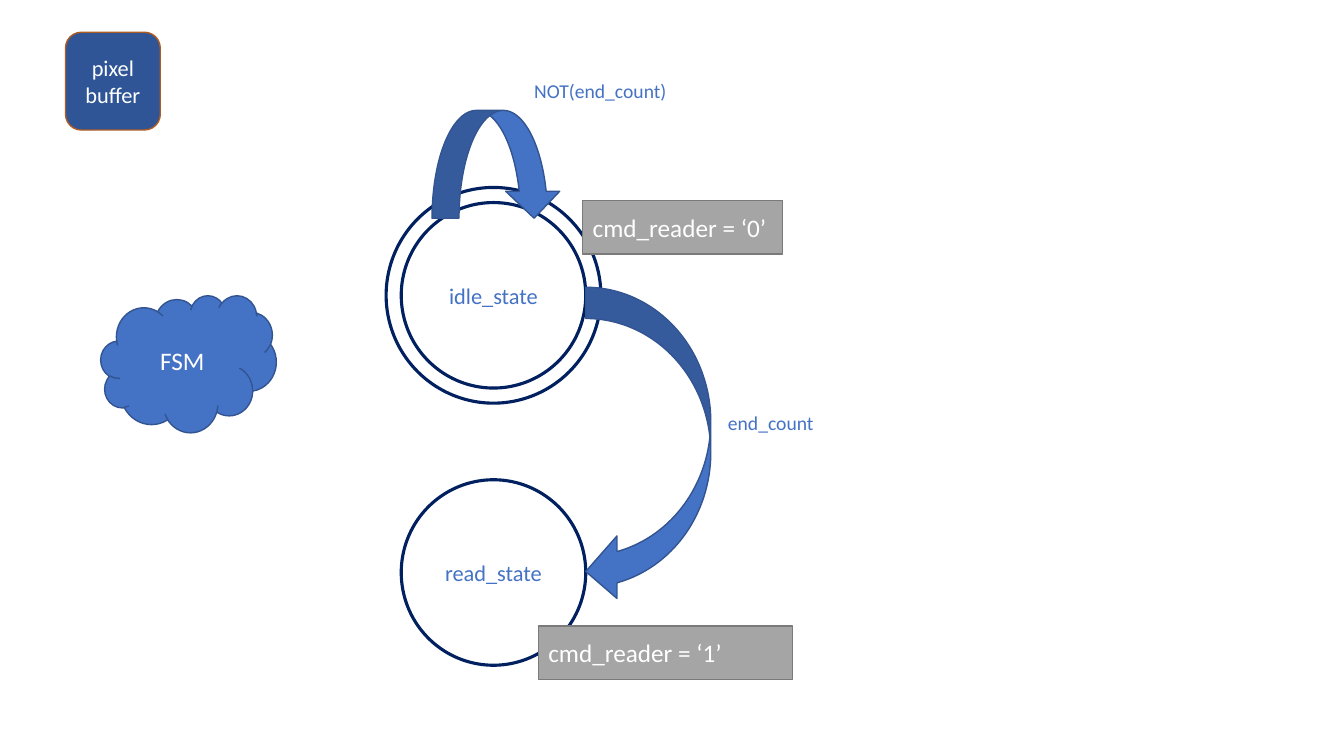
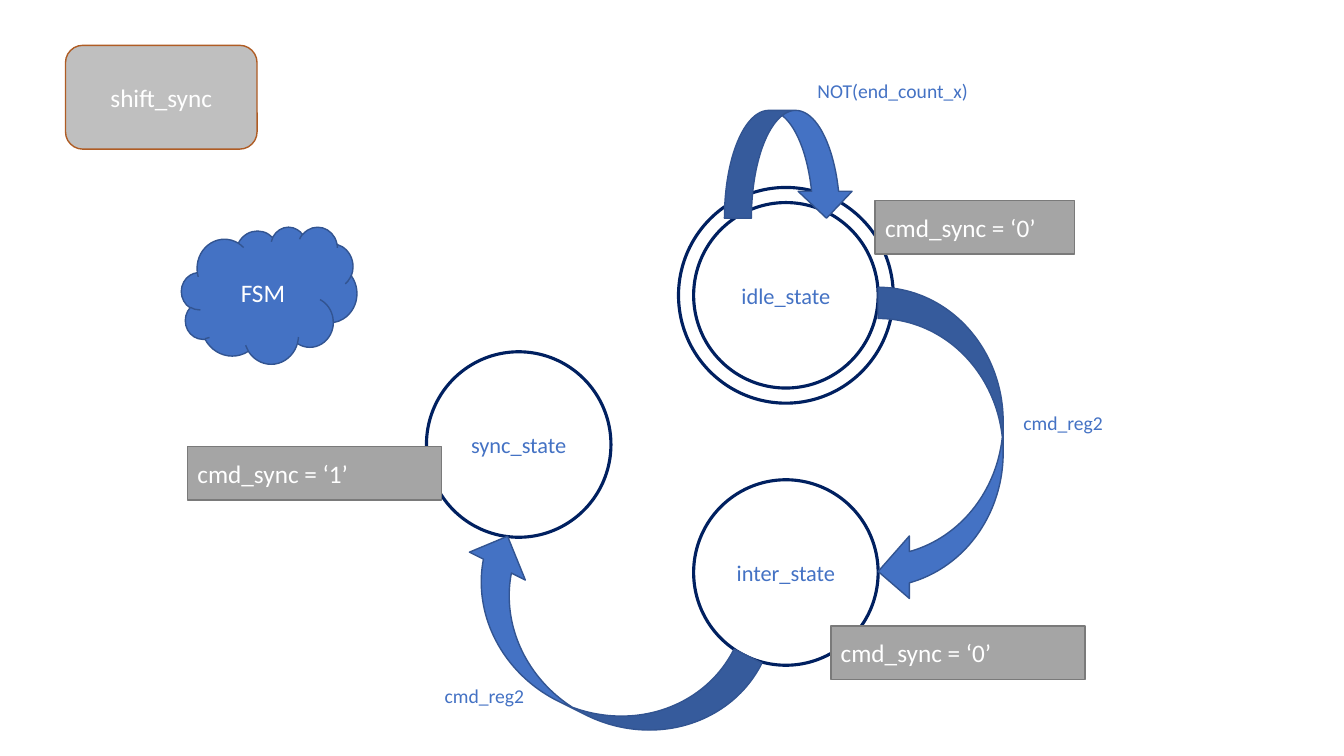
from pptx import Presentation
from pptx.dml.color import RGBColor
from pptx.enum.shapes import MSO_SHAPE as SHAPE
from pptx.enum.text import MSO_ANCHOR, MSO_AUTO_SIZE, PP_ALIGN
from pptx.util import Inches, Pt

# Shared style
FONT = "Calibri"
WHITE = RGBColor(0xFF, 0xFF, 0xFF)
NAVY = RGBColor(0x00, 0x20, 0x60)
BLUE = RGBColor(0x44, 0x72, 0xC4)
BLUE_EDGE = RGBColor(0x32, 0x54, 0x91)
DARK_BLUE = RGBColor(0x2F, 0x55, 0x97)
GRAY = RGBColor(0xA5, 0xA5, 0xA5)
GRAY_EDGE = RGBColor(0x7A, 0x7A, 0x7A)
LIGHT_GRAY = RGBColor(0xBF, 0xBF, 0xBF)
ORANGE_EDGE = RGBColor(0xAF, 0x5C, 0x24)

# Shared sizes in inches
STATE_W, STATE_H = 1.83, 1.84
RING_GAP = 0.15
ARROW_SIZE = (1.24, 3.13)
OUTPUT_H = 0.53

# Content: one dict per state machine; x is the left edge of its main column
MACHINES = [
    dict(
        badge=(["pixel", "buffer"], (0.65, 0.32, 0.94, 0.97), DARK_BLUE, 16),
        cloud=(1, 2.93),
        x=3.98,
        states=("idle_state", "read_state"),
        conditions=("NOT(end_count)", "end_count"),
        outputs=("cmd_reader = ‘0’", "cmd_reader = ‘1’"),
    ),
    dict(
        badge=(["shift_sync"], (0.65, 0.45, 1.9, 1.03), LIGHT_GRAY, 18),
        cloud=(1.8, 2.25),
        x=6.88,
        states=("idle_state", "inter_state"),
        conditions=("NOT(end_count_x)", "cmd_reg2"),
        outputs=("cmd_sync = ‘0’", "cmd_sync = ‘0’"),
        side=("sync_state", "cmd_sync = ‘1’", "cmd_reg2"),
    ),
]


def write(s, lines, size, color, align=PP_ALIGN.CENTER):
    tf = s.text_frame
    tf.word_wrap = True
    for i, line in enumerate(lines):
        p = tf.add_paragraph() if i else tf.paragraphs[0]
        p.text = line
        p.alignment = align
        p.font.name = FONT
        p.font.size = Pt(size)
        p.font.color.rgb = color
    return tf


def add_shape(slide, kind, box, fill, edge, width=1):
    s = slide.shapes.add_shape(kind, *map(Inches, box))
    s.shadow.inherit = False
    s.fill.solid()
    s.fill.fore_color.rgb = fill
    s.line.color.rgb = edge
    s.line.width = Pt(width)
    s.text_frame.vertical_anchor = MSO_ANCHOR.MIDDLE
    return s


def add_state(slide, name, x, y, initial=False):
    if initial:
        ring = (x - RING_GAP, y - RING_GAP,
                STATE_W + 2 * RING_GAP, STATE_H + 2 * RING_GAP)
        add_shape(slide, SHAPE.OVAL, ring, WHITE, NAVY, 2.25)
    s = add_shape(slide, SHAPE.OVAL, (x, y, STATE_W, STATE_H), WHITE, NAVY, 2.25)
    write(s, [name], 16, BLUE)


def add_arrow(slide, x, y, size=ARROW_SIZE, rotation=0):
    s = add_shape(slide, SHAPE.CURVED_LEFT_ARROW, (x, y, *size), BLUE, BLUE_EDGE)
    s.rotation = rotation


def add_condition(slide, text, x, y, width=1.39):
    s = slide.shapes.add_textbox(*map(Inches, (x, y, width, 0.34)))
    tf = write(s, [text], 14, BLUE)
    tf.auto_size = MSO_AUTO_SIZE.SHAPE_TO_FIT_TEXT


def add_output(slide, text, x, y, width=2.52):
    s = add_shape(slide, SHAPE.RECTANGLE, (x, y, width, OUTPUT_H), GRAY, GRAY_EDGE)
    write(s, [text], 18, WHITE, PP_ALIGN.LEFT)


def add_machine(slide, machine):
    x = machine["x"]

    # Main column: initial state above its successor
    for i, (name, y) in enumerate(zip(machine["states"], (2.01, 4.76))):
        add_state(slide, name, x, y, initial=i == 0)

    # Transitions and their conditions
    loop, forward = machine["conditions"]
    add_arrow(slide, x + STATE_W, 2.85)
    add_condition(slide, forward, x + 2.97, 4.03)
    add_arrow(slide, x + 0.41, 0.99, (1.07, 1.28), 270)
    add_condition(slide, loop, x + 0.91, 0.73, 2.13)

    # Diagram type
    s = add_shape(slide, SHAPE.CLOUD, (*machine["cloud"], 1.74, 1.36), BLUE, BLUE_EDGE)
    write(s, ["FSM"], 18, WHITE)

    # Output of each state
    first, second = machine["outputs"]
    add_output(slide, first, x + 1.8, 1.99, 1.98)
    add_output(slide, second, x + 1.36, 6.21)

    # Block name
    lines, box, fill, size = machine["badge"]
    s = add_shape(slide, SHAPE.ROUNDED_RECTANGLE, box, fill, ORANGE_EDGE)
    write(s, lines, size, WHITE)

    # Third state to the left
    if "side" in machine:
        name, output, condition = machine["side"]
        add_state(slide, name, 4.23, 3.49)
        add_output(slide, output, 1.86, 4.43)
        add_arrow(slide, 5.26, 4.87, rotation=116.5)
        add_condition(slide, condition, 4.11, 6.74)


def main():
    prs = Presentation()
    prs.slide_width, prs.slide_height = Inches(13.33), Inches(7.5)
    blank = prs.slide_layouts[6]
    for machine in MACHINES:
        add_machine(prs.slides.add_slide(blank), machine)
    prs.save("out.pptx")


if __name__ == "__main__":
    main()
